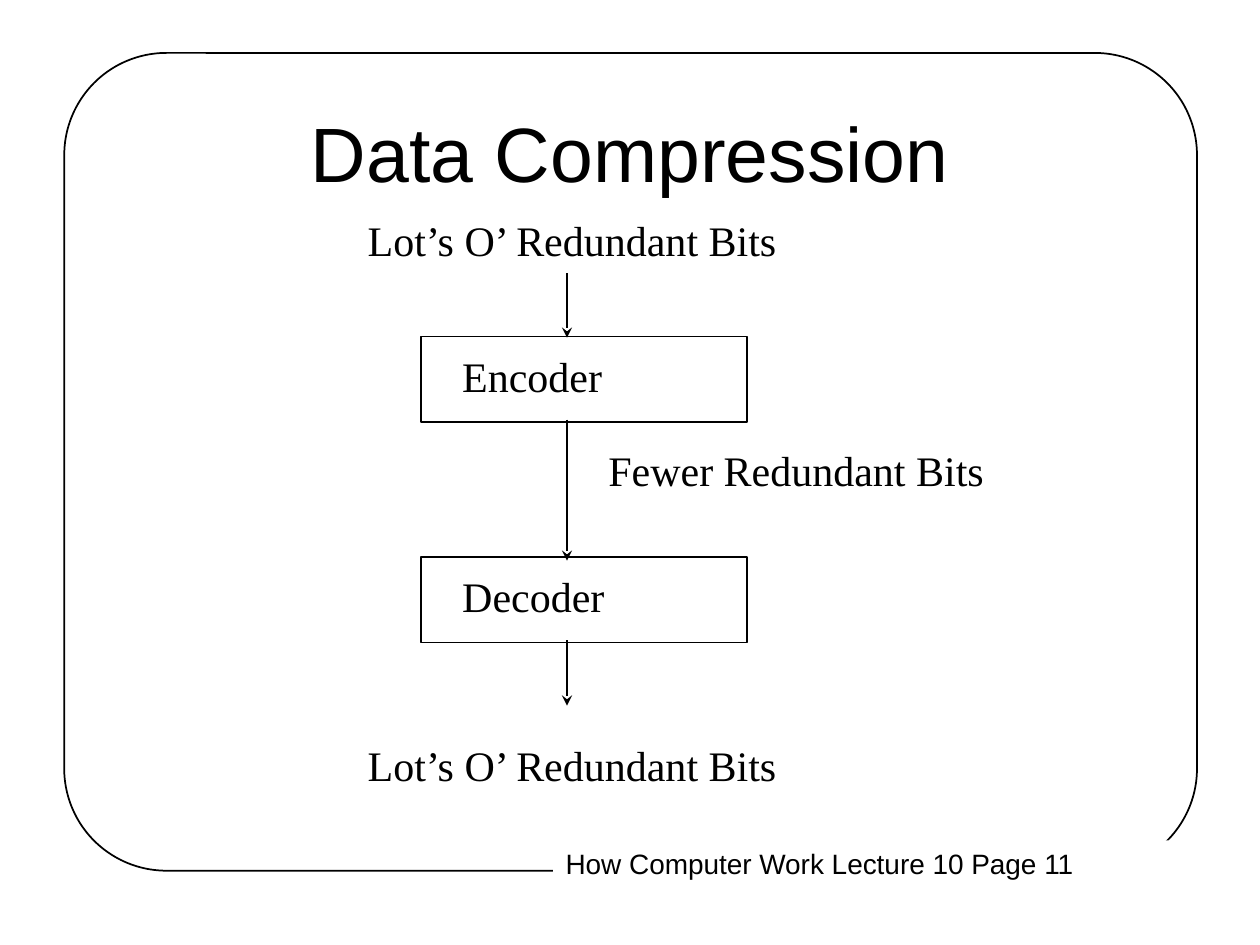
from typing import NamedTuple

from lxml import etree
from pptx import Presentation
from pptx import util as u
from pptx.dml.color import RGBColor
from pptx.enum import shapes, text
from pptx.oxml.ns import qn

BLACK = RGBColor(0, 0, 0)
WHITE = RGBColor(255, 255, 255)
SANS, SERIF = "Arial", "Times New Roman"
AXIS = 4.5  # x of every arrow


class Label(NamedTuple):
    words: str
    left: float
    top: float
    width: float
    height: float = 0.5


class Stage(NamedTuple):
    name: str
    top: float


class Flow(NamedTuple):
    start: float
    end: float


LABELS = [
    Label("Lot’s O’ Redundant Bits", 2.82, 1.65, 4.85),
    Label("Fewer Redundant Bits", 4.73, 3.48, 3.52, 0.9),
    Label("Lot’s O’ Redundant Bits", 2.82, 5.82, 4.85),
]
STAGES = [Stage("Encoder", 2.67), Stage("Decoder", 4.42)]
FLOWS = [Flow(2.17, 2.68), Flow(3.33, 4.45), Flow(5.08, 5.6)]


def write(frame, words: str, face: str, size: int, align=text.PP_ALIGN.LEFT) -> None:
    frame.word_wrap = True
    frame.text = words
    para = frame.paragraphs[0]
    para.alignment = align
    para.font.name = face
    para.font.size = u.Pt(size)
    para.font.color.rgb = BLACK


def add_box(slide, kind, left: float, top: float, width: float, height: float):
    box = slide.shapes.add_shape(
        kind, u.Inches(left), u.Inches(top), u.Inches(width), u.Inches(height))
    box.shadow.inherit = False
    box.fill.background()
    box.line.color.rgb = BLACK
    box.line.width = u.Pt(1)
    return box


def add_label(slide, label: Label) -> None:
    box = slide.shapes.add_textbox(*(u.Inches(n) for n in label[1:]))
    write(box.text_frame, label.words, SERIF, 24)


def add_stage(slide, stage: Stage) -> None:
    add_box(slide, shapes.MSO_SHAPE.RECTANGLE, 3.34, stage.top, 2.59, 0.68)
    add_label(slide, Label(stage.name, 3.57, stage.top + 0.06, 1.42))


def add_flow(slide, flow: Flow) -> None:
    x = u.Inches(AXIS)
    arrow = slide.shapes.add_connector(
        shapes.MSO_CONNECTOR.STRAIGHT, x, u.Inches(flow.start), x, u.Inches(flow.end))
    arrow.line.color.rgb = BLACK
    arrow.line.width = u.Pt(1)
    etree.SubElement(arrow.line._get_or_add_ln(), qn("a:tailEnd"), type="stealth")
    etree.SubElement(arrow._element.spPr, qn("a:effectLst"))


def main() -> None:
    deck = Presentation()
    deck.slide_width, deck.slide_height = u.Inches(10), u.Inches(7.5)
    slide = deck.slides.add_slide(deck.slide_layouts[5])

    # Frame, with the footer breaking its lower edge
    frame = add_box(slide, shapes.MSO_SHAPE.ROUNDED_RECTANGLE, 0.51, 0.42, 8.99, 6.49)
    frame.adjustments[0] = 0.125
    foot = add_box(slide, shapes.MSO_SHAPE.RECTANGLE, 4.39, 6.67, 5.02, 0.37)
    foot.fill.solid()
    foot.fill.fore_color.rgb = WHITE
    foot.line.fill.background()
    foot.text_frame.vertical_anchor = text.MSO_ANCHOR.TOP
    write(foot.text_frame, "How Computer Work Lecture 10 Page 11", SANS, 16)

    # Title
    title = slide.shapes.title
    title.left, title.top = u.Inches(0.75), u.Inches(0.58)
    title.width, title.height = u.Inches(8.5), u.Inches(1.25)
    title.text_frame.vertical_anchor = text.MSO_ANCHOR.MIDDLE
    write(title.text_frame, "Data Compression", SANS, 44, text.PP_ALIGN.CENTER)

    # Compression pipeline
    for stage in STAGES:
        add_stage(slide, stage)
    for label in LABELS:
        add_label(slide, label)
    for flow in FLOWS:
        add_flow(slide, flow)

    deck.save("out.pptx")


if __name__ == "__main__":
    main()
